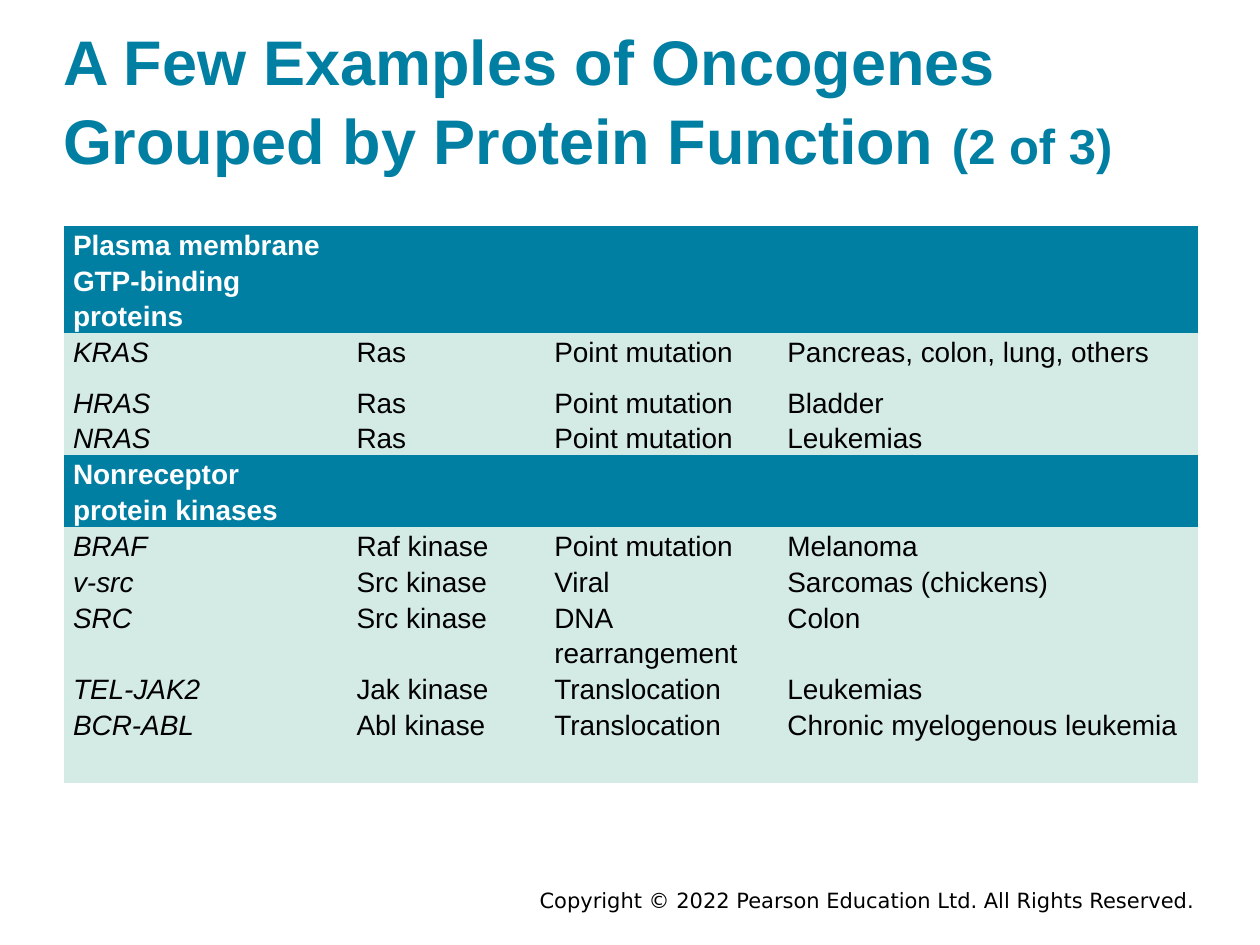
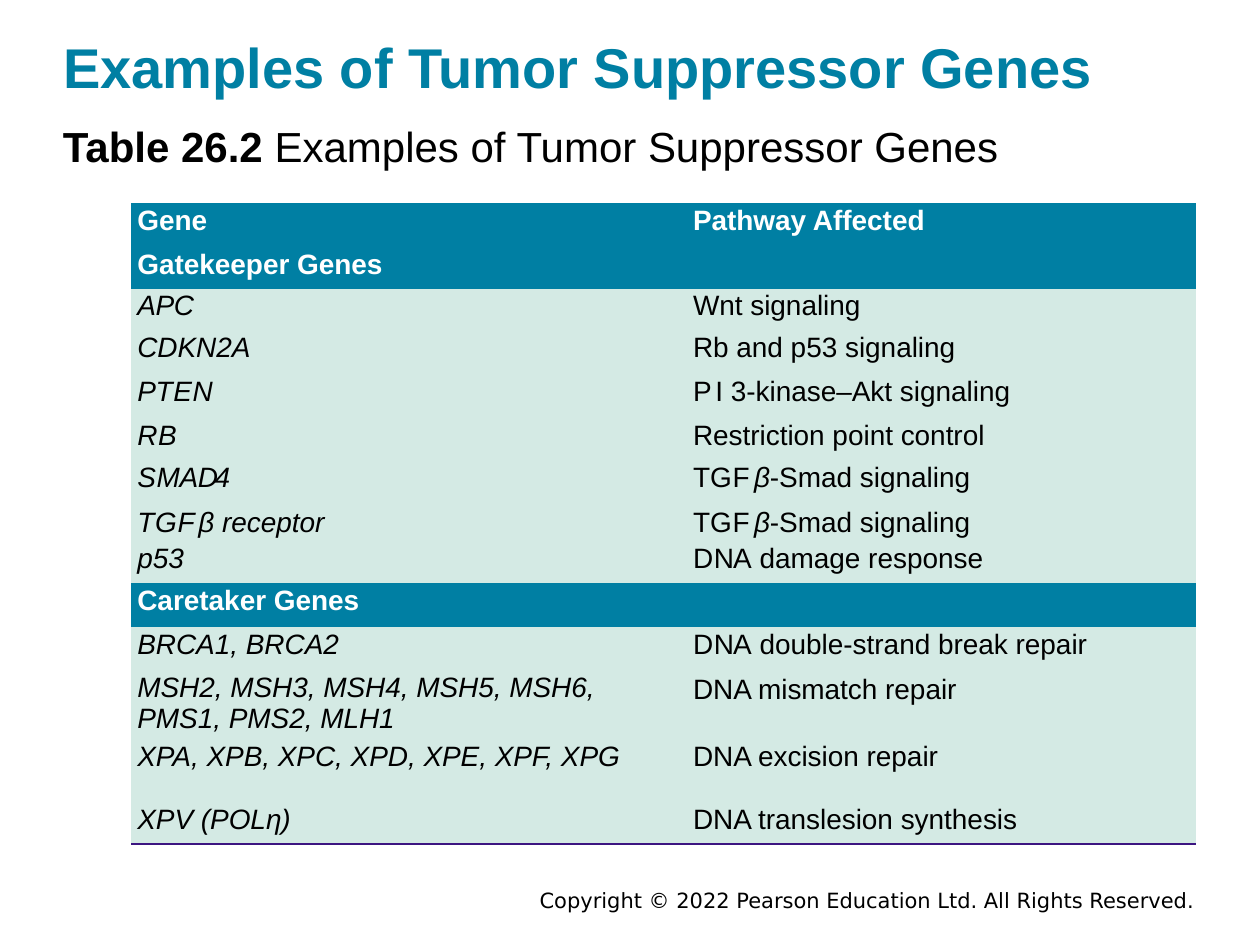
import pptx
import pptx.util
import pptx.dml.color
import pptx.enum.text
import pptx.oxml
import pptx.oxml.ns
from pptx.util import Inches, Pt

TEAL, MINT, WHITE, BLACK, PURPLE = "007FA3", "D4EAE4", "FFFFFF", "000000", "3C1581"
NO_STYLE = "{2D5ABB26-0587-4C30-8999-92F81FD0307C}"
ANCHOR = pptx.enum.text.MSO_ANCHOR


def rgb(value):
    return pptx.dml.color.RGBColor.from_string(value)


def add_runs(p, runs, size, color, font="Arial"):
    """Add (text, flags) runs; flags: b bold, i italic, t tight spacing."""
    for text, flags in runs:
        r = p.add_run()
        r.text = text
        r.font.name, r.font.size = font, Pt(size)
        r.font.color.rgb = rgb(color)
        r.font.bold, r.font.italic = "b" in flags, "i" in flags
        if "t" in flags:
            r._r.get_or_add_rPr().set("spc", "-200")


# Table contents: a one-cell row is a section heading, "\n" starts a paragraph
oncogenes = [
    ["Plasma membrane GTP-binding proteins"],
    ["KRAS", "Ras", "Point mutation", "Pancreas, colon, lung, others"],
    ["HRAS", "Ras", "Point mutation", "Bladder"],
    ["NRAS", "Ras", "Point mutation", "Leukemias"],
    ["Nonreceptor protein kinases"],
    ["BRAF", "Raf kinase", "Point mutation", "Melanoma"],
    ["v-src", "Src kinase", "Viral", "Sarcomas (chickens)"],
    ["SRC", "Src kinase", "DNA rearrangement", "Colon"],
    ["TEL-JAK2", "Jak kinase", "Translocation", "Leukemias"],
    ["BCR-ABL", "Abl kinase", "Translocation", "Chronic myelogenous leukemia"],
]
tgf_smad = [("T G F ", "t"), ("β", "i"), ("-Smad signaling", "")]
dna = ("D N A", "t")
suppressors = [
    ["Gene", "Pathway Affected"],
    ["Gatekeeper Genes"],
    [[("A P C", "it")], "Wnt signaling"],
    ["CDKN2A", "Rb and p53 signaling"],
    [[("P T E N", "it")], [("P ", "t"), ("I 3-kinase–Akt signaling", "")]],
    [[("R B", "it")], "Restriction point control"],
    [[("S M A D4", "it")], tgf_smad],
    [[("T G F ", "it"), ("β receptor", "i")], tgf_smad],
    ["p53", [dna, (" damage response", "")]],
    ["Caretaker Genes"],
    ["BRCA1, BRCA2", [dna, (" double-strand break repair", "")]],
    ["MSH2, MSH3, MSH4, MSH5, MSH6,\nPMS1, PMS2, MLH1", "DNA mismatch repair"],
    ["XPA, XPB, XPC, XPD, XPE, XPF, XPG", "DNA excision repair"],
    ["XPV (POLη)", "DNA translesion synthesis"],
]

slides = [
    dict(title=[("A Few Examples of Oncogenes Grouped by Protein Function ", 36), ("(2 of 3)", 28)],
         title_at=(0.5, 0.31, 9.25, 0.93), anchor=ANCHOR.MIDDLE, caption=None,
         rows=oncogenes, headings=(0, 4), at=(0.51, 1.79), cols=(2.25, 1.57, 1.85, 3.33),
         heights=(0.85, 0.4, 0.28, 0.28, 0.57, 0.28, 0.28, 0.57, 0.28, 0.61),
         inset=0.07, spacing=1.15, rule=False),
    dict(title=[("Examples of Tumor Suppressor Genes", 32)],
         title_at=(0.5, 0.16, 9, 0.63), anchor=ANCHOR.BOTTOM,
         caption=[("Table 26.2 ", "b"), ("Examples of Tumor Suppressor Genes", "")],
         rows=suppressors, headings=(0, 1, 9), at=(1.04, 1.61), cols=(4.41, 4.04),
         heights=(0.35, 0.33, 0.33, 0.35, 0.35, 0.33, 0.36, 0.27, 0.33, 0.35, 0.36, 0.49, 0.5, 0.33),
         inset=0.05, spacing=1.07, rule=True),
]

prs = pptx.Presentation()
prs.slide_width, prs.slide_height = Inches(10), Inches(7.5)

for d in slides:
    s = prs.slides.add_slide(prs.slide_layouts[5])

    # Title
    sp = s.shapes.title
    sp.left, sp.top, sp.width, sp.height = map(Inches, d["title_at"])
    tf = sp.text_frame
    tf.auto_size = pptx.enum.text.MSO_AUTO_SIZE.NONE
    tf.margin_left = tf.margin_right = tf.margin_top = tf.margin_bottom = 0
    tf.vertical_anchor = d["anchor"]
    p = tf.paragraphs[0]
    p.alignment = pptx.enum.text.PP_ALIGN.LEFT
    p.line_spacing = 1.05
    for text, size in d["title"]:
        add_runs(p, [(text, "b")], size, TEAL)

    # Caption
    if d["caption"]:
        tf = s.shapes.add_textbox(Inches(0.5), Inches(0.96), Inches(9.2), Inches(0.43)).text_frame
        tf.word_wrap = True
        tf.margin_left = tf.margin_right = tf.margin_top = tf.margin_bottom = 0
        add_runs(tf.paragraphs[0], d["caption"], 24, BLACK)

    # Table
    left, top = d["at"]
    table = s.shapes.add_table(len(d["rows"]), len(d["cols"]), Inches(left), Inches(top),
                               Inches(sum(d["cols"])), Inches(sum(d["heights"]))).table
    table.first_row = table.horz_banding = False
    table._tbl.tblPr.find(pptx.oxml.ns.qn("a:tableStyleId")).text = NO_STYLE
    for column, width in zip(table.columns, d["cols"]):
        column.width = Inches(width)
    for i, (values, height) in enumerate(zip(d["rows"], d["heights"])):
        table.rows[i].height = Inches(height)
        heading = i in d["headings"]
        for j, cell in enumerate(table.rows[i].cells):
            cell.margin_left = cell.margin_right = Inches(d["inset"])
            cell.margin_top = cell.margin_bottom = 0
            cell.fill.solid()
            cell.fill.fore_color.rgb = rgb(TEAL if heading else MINT)
            if j >= len(values):
                continue
            value = values[j]
            flags = "b" if heading else "i" if j == 0 else ""
            lines = [[(t, flags)] for t in value.split("\n")] if isinstance(value, str) else [value]
            for n, runs in enumerate(lines):
                p = cell.text_frame.add_paragraph() if n else cell.text_frame.paragraphs[0]
                p.line_spacing = d["spacing"] if len(lines) == 1 else 1.0
                add_runs(p, runs, 16, WHITE if heading else BLACK)

    # Rule under the last row
    if d["rule"]:
        for cell in table.rows[len(d["rows"]) - 1].cells:
            cell._tc.get_or_add_tcPr().insert(0, pptx.oxml.parse_xml(
                f'<a:lnB {pptx.oxml.ns.nsdecls("a")} w="12700"><a:solidFill>'
                f'<a:srgbClr val="{PURPLE}"/></a:solidFill></a:lnB>'))

    # Copyright footer
    tf = s.shapes.add_textbox(Inches(1.75), Inches(7.03), Inches(7.83), Inches(0.22)).text_frame
    tf.word_wrap = True
    tf.vertical_anchor = ANCHOR.MIDDLE
    p = tf.paragraphs[0]
    p.alignment = pptx.enum.text.PP_ALIGN.RIGHT
    add_runs(p, [("Copyright © 2022 Pearson Education Ltd. All Rights Reserved.", "")],
             12, BLACK, "DejaVu Sans")

prs.save("out.pptx")
